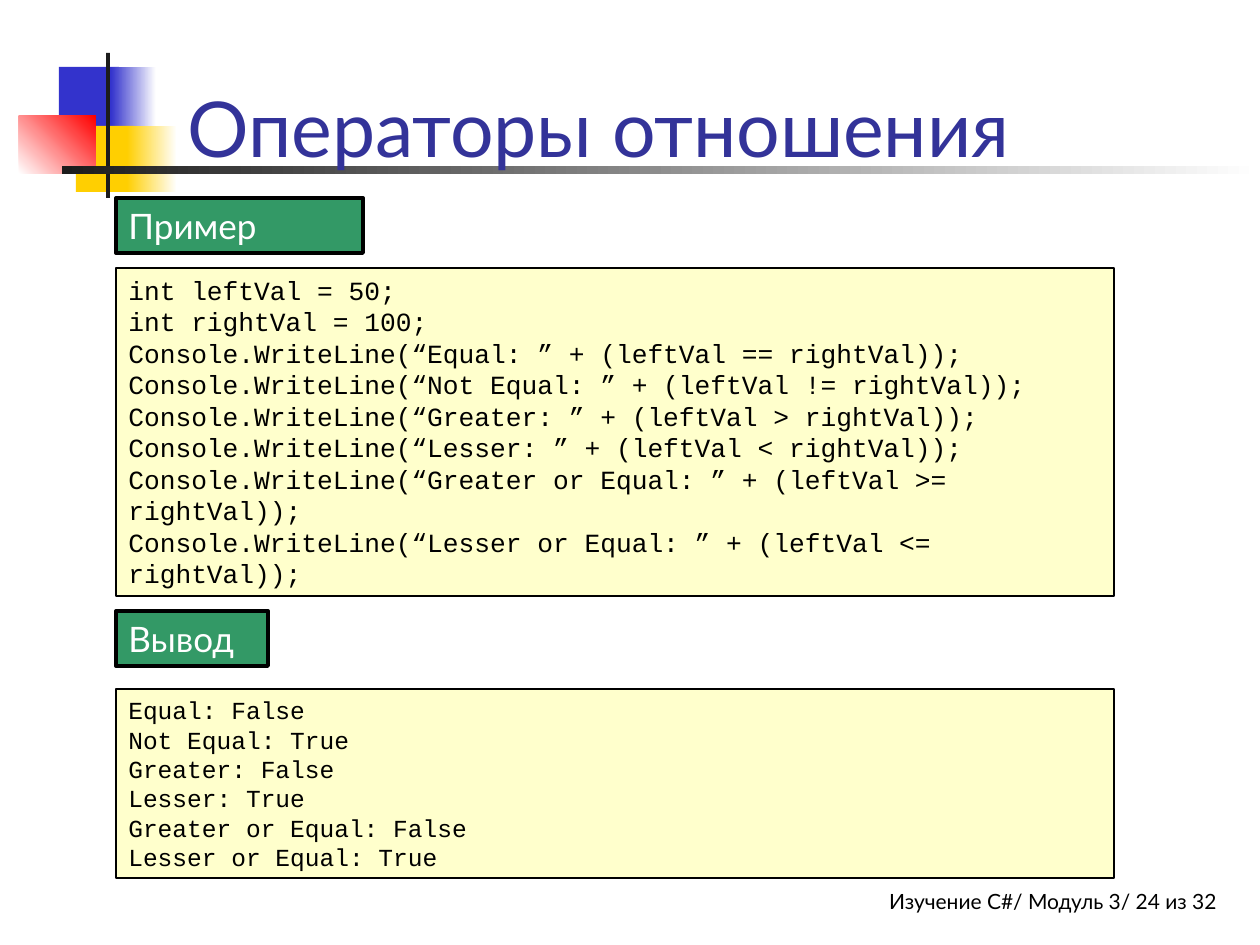
from dataclasses import dataclass

from pptx import Presentation
from pptx.dml.color import RGBColor
from pptx.enum.shapes import MSO_SHAPE
from pptx.enum.text import MSO_ANCHOR, MSO_AUTO_SIZE, PP_ALIGN
from pptx.util import Pt

PX = 914400 / 126


@dataclass(frozen=True)
class Theme:
    black: str = "000000"
    white: str = "FFFFFF"
    title: str = "333399"
    label: str = "339966"
    panel: str = "FFFFCC"
    blue: str = "3333CC"
    yellow: str = "FFCF01"
    red: str = "FF0000"
    rule: str = "1C1C1C"
    sans: str = "Lato"
    mono: str = "Courier New"
    title_size: int = 44
    label_size: int = 20
    code_size: int = 15
    output_size: int = 14
    footer_size: int = 12


T = Theme()

CODE = """int leftVal = 50;
int rightVal = 100;
Console.WriteLine(“Equal: ” + (leftVal == rightVal));
Console.WriteLine(“Not Equal: ” + (leftVal != rightVal));
Console.WriteLine(“Greater: ” + (leftVal > rightVal));
Console.WriteLine(“Lesser: ” + (leftVal < rightVal));
Console.WriteLine(“Greater or Equal: ” + (leftVal >= rightVal));
Console.WriteLine(“Lesser or Equal: ” + (leftVal <= rightVal));"""

OUTPUT = """Equal: False
Not Equal: True
Greater: False
Lesser: True
Greater or Equal: False
Lesser or Equal: True"""


def rgb(color):
    return RGBColor.from_string(color)


def emu(box):
    return [round(v * PX) for v in box]


def add_rect(slide, box, fill, fade=None, angle=0, line=None):
    sp = slide.shapes.add_shape(MSO_SHAPE.RECTANGLE, *emu(box))
    sp.shadow.inherit = False
    if fade:
        sp.fill.gradient()
        sp.fill.gradient_angle = angle
        for stop, position, color in zip(sp.fill.gradient_stops, (0, 1), (fill, fade)):
            stop.position = position
            stop.color.rgb = rgb(color)
    else:
        sp.fill.solid()
        sp.fill.fore_color.rgb = rgb(fill)
    if line:
        sp.line.color.rgb = rgb(T.black)
        sp.line.width = Pt(line)
    else:
        sp.line.fill.background()
    return sp


def set_text(sp, text, font, size, color, align=PP_ALIGN.LEFT, anchor=MSO_ANCHOR.TOP):
    tf = sp.text_frame
    tf.word_wrap = True
    tf.vertical_anchor = anchor
    tf.text = text
    for p in tf.paragraphs:
        p.alignment = align
        p.font.name = font
        p.font.size = Pt(size)
        p.font.color.rgb = rgb(color)
    return tf


def add_ornament(slide, box):
    x, y, w, h = box
    add_rect(slide, (x + 40, y + 14, 60, 66), T.blue)
    add_rect(slide, (x + 92, y + 14, 45, 66), T.blue, T.white)
    add_rect(slide, (x + 57, y + 73, 58, 66), T.yellow)
    add_rect(slide, (x + 108, y + 73, 50, 66), T.yellow, T.white)
    add_rect(slide, (x, y + 63, 77, 58), T.white, T.red, angle=45)
    add_rect(slide, (x + 87, y, 4, h), T.rule)
    add_rect(slide, (x + 43, y + 113, w - 43, 8), T.rule, T.white)


def add_title(slide, box, text):
    sp = slide.shapes.add_textbox(*emu(box))
    set_text(sp, text, T.sans, T.title_size, T.title, anchor=MSO_ANCHOR.BOTTOM)


def add_section(slide, box, label, label_width, panel_top, text, size):
    x, y, w, h = box
    tag = add_rect(slide, (x, y, label_width, 55), T.label, line=2.25)
    panel = add_rect(slide, (x, y + panel_top, w, h - panel_top), T.panel, line=0.75)
    for tf in (
        set_text(tag, label, T.sans, T.label_size, T.white),
        set_text(panel, text, T.mono, size, T.black),
    ):
        tf.auto_size = MSO_AUTO_SIZE.SHAPE_TO_FIT_TEXT


def add_footer(slide, box, text):
    sp = slide.shapes.add_textbox(*emu(box))
    tf = set_text(sp, text, T.sans, T.footer_size, T.black, PP_ALIGN.RIGHT)
    tf.margin_right = 0


def main():
    prs = Presentation()
    prs.slide_width, prs.slide_height = emu((1260, 945))
    s = prs.slides.add_slide(prs.slide_layouts[6])
    add_footer(s, (577, 882, 640, 42), "Изучение C#/ Модуль 3/ 24 из 32")
    add_ornament(s, (19, 53, 1241, 145))
    add_title(s, (175, 21, 1074, 158), "Операторы отношения")
    add_section(s, (116, 198, 998, 398), "Пример", 247, 70, CODE, T.code_size)
    add_section(s, (116, 611, 998, 267), "Вывод", 152, 78, OUTPUT, T.output_size)
    prs.save("out.pptx")


if __name__ == "__main__":
    main()
